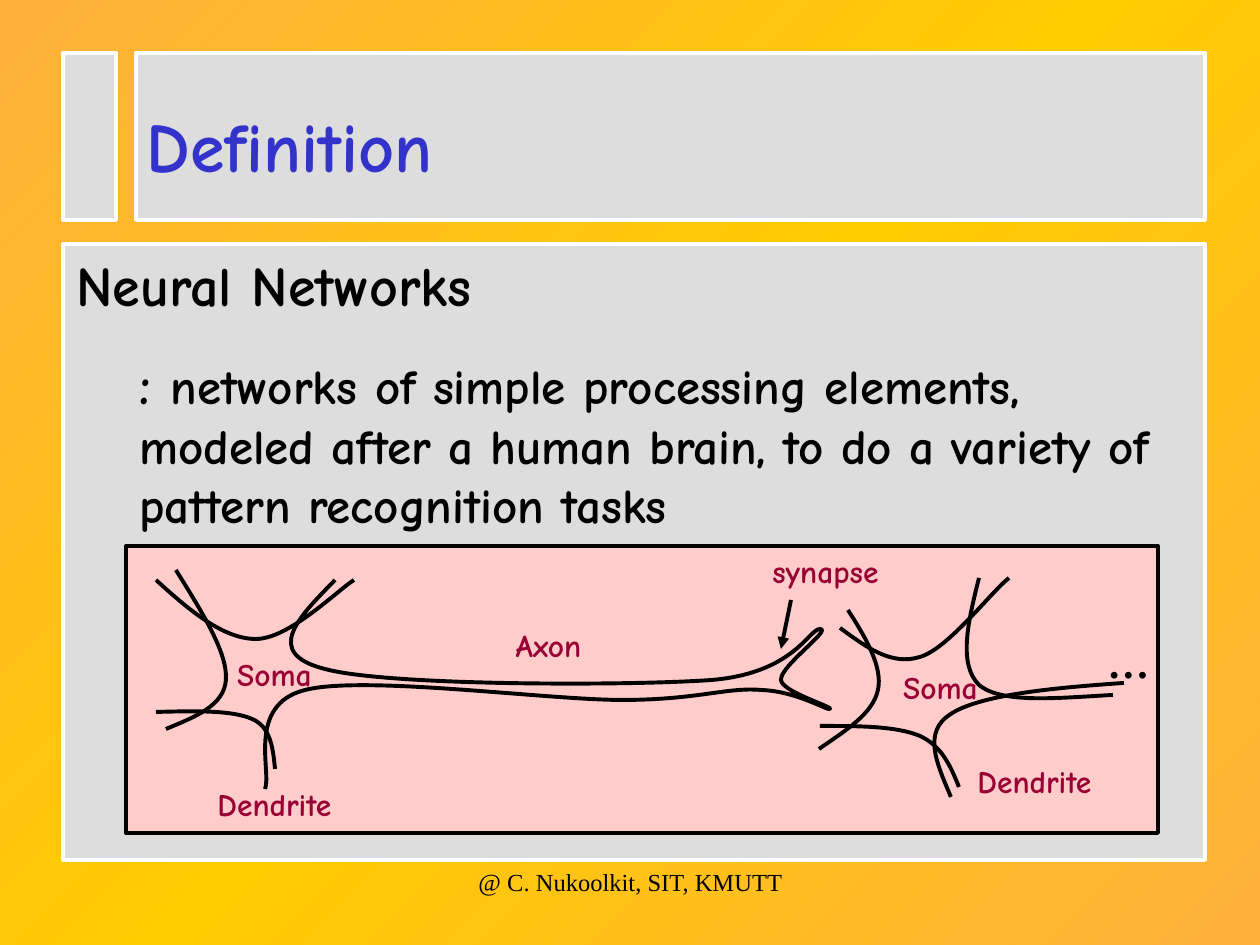
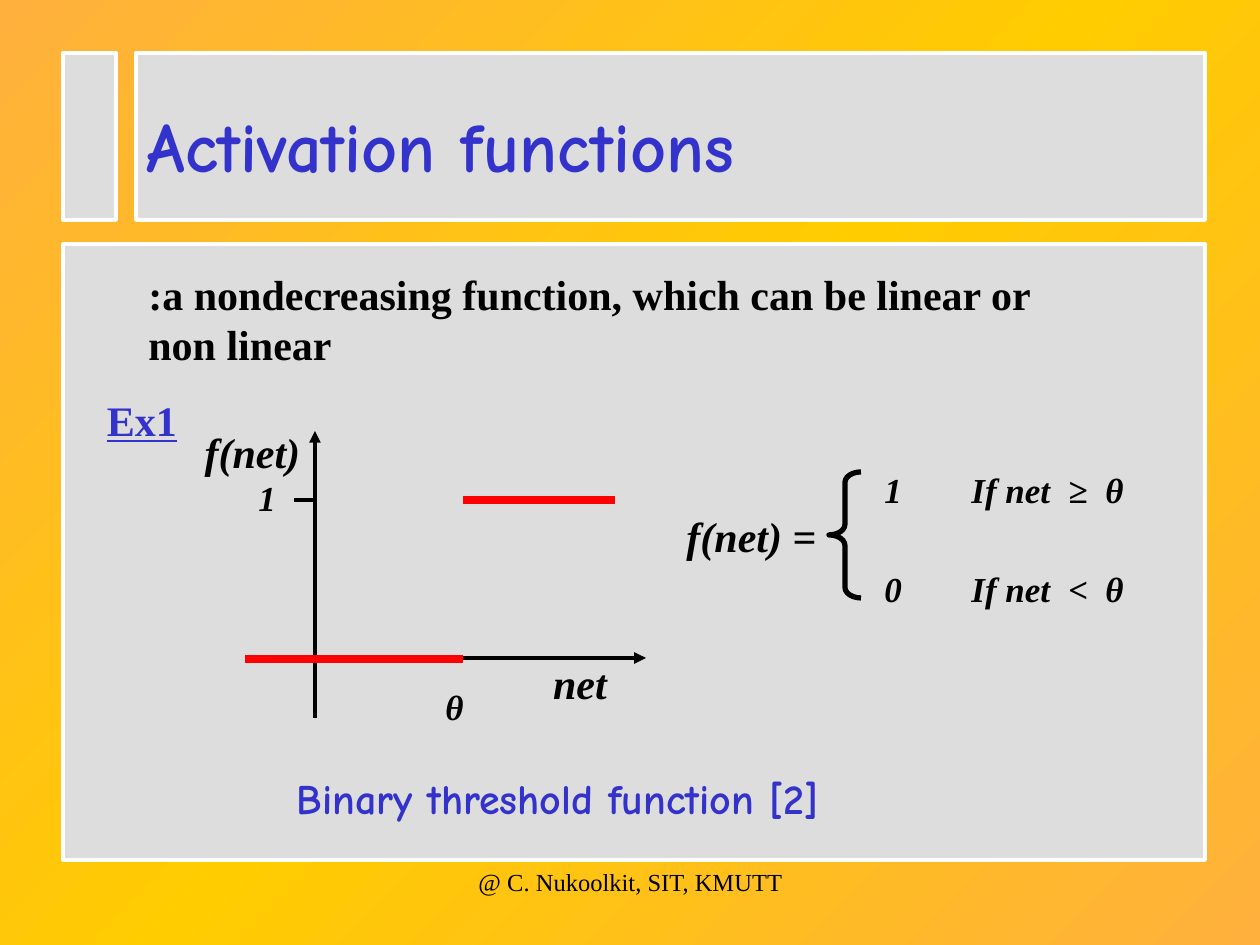
import copy
import itertools

import pptx
import pptx.dml.color
import pptx.enum.shapes
import pptx.enum.text
import pptx.oxml
import pptx.oxml.ns
import pptx.util

PX = 914400 // 126
COLORS = {
    "edge": "FFB03D", "middle": "FFCC00", "panel": "DDDDDD", "white": "FFFFFF",
    "black": "000000", "blue": "3333CC", "pink": "FFCCCC", "wine": "990033", "red": "FF0000",
}
HAND, SERIF = "Comic Neue", "Times New Roman"
TITLE = {"name": HAND, "size": 40, "bold": True, "color": "blue"}
HEADING = {"name": HAND, "size": 32, "bold": True, "color": "black"}
BODY = {**HEADING, "size": 28}
LABEL = {"name": HAND, "size": 18, "bold": True, "color": "wine"}
CAPTION = {**LABEL, "size": 24, "color": "blue"}
SERIF_BOLD = {"name": SERIF, "size": 24, "bold": True, "color": "black"}
MATH = {**SERIF_BOLD, "italic": True}
SMALL_MATH = {**MATH, "size": 20}
EXAMPLE = {**SERIF_BOLD, "underline": True, "color": "blue"}
FOOTER = {"name": SERIF, "size": 14, "color": "black"}
LEFT, CENTER = pptx.enum.text.PP_ALIGN.LEFT, pptx.enum.text.PP_ALIGN.CENTER
SHAPE = pptx.enum.shapes.MSO_SHAPE

TITLE_PANEL = (136, 53, 1069, 167)
SIDE_PANEL = (63, 53, 53, 167)
CONTENT_PANEL = (63, 244, 1142, 616)

FIRST_NEURON = [
    [(30, 34), (63, 64), (97, 93), (130, 93), (163, 93), (212, 44), (228, 34)],
    [(50, 24), (76, 66), (102, 107), (100, 134), (98, 160), (69, 171), (40, 183)],
    [(30, 166), (68, 165), (106, 164), (126, 173), (145, 181), (147, 203), (149, 223)],
]
AXON = [
    (209, 34), (173, 71), (136, 107), (199, 123), (261, 140), (503, 140), (586, 134),
    (668, 127), (683, 83), (694, 83), (707, 83), (654, 120), (655, 134),
    (656, 146), (708, 161), (704, 163), (702, 165), (670, 145), (635, 144),
    (601, 141), (572, 154), (496, 154), (421, 154), (238, 129), (179, 144),
    (120, 159), (146, 226), (139, 243),
]
SECOND_NEURON = [
    [(714, 82), (740, 101), (765, 120), (794, 111), (822, 103), (866, 45), (883, 32)],
    [(853, 32), (842, 76), (832, 118), (853, 139), (876, 158), (931, 152), (987, 149)],
    [(722, 64), (740, 92), (757, 121), (752, 144), (747, 168), (719, 185), (693, 203)],
    [(694, 180), (732, 180), (770, 180), (794, 190), (816, 200), (825, 221), (833, 241)],
    [(825, 251), (811, 218), (796, 186), (825, 168), (854, 149), (926, 142), (998, 137)],
]


def rgb(name):
    """Return the named colour."""
    return pptx.dml.color.RGBColor.from_string(COLORS[name])


def emu(lengths):
    """Turn px lengths into EMU."""
    return [round(length * PX) for length in lengths]


def inside(box, left, top, width, height):
    """Return a part's box, given relative to an outer box."""
    return box[0] + left, box[1] + top, width, height


def format_font(font, style):
    """Apply a dict of font values."""
    for key, value in style.items():
        if key == "color":
            font.color.rgb = rgb(value)
        else:
            setattr(font, key, pptx.util.Pt(value) if key == "size" else value)


def format_frame(frame):
    """Set the wrapping, anchor and insets of a text frame."""
    values = {
        "word_wrap": True, "auto_size": pptx.enum.text.MSO_AUTO_SIZE.NONE,
        "vertical_anchor": pptx.enum.text.MSO_ANCHOR.TOP,
        "margin_left": pptx.util.Inches(0.1), "margin_right": pptx.util.Inches(0.1),
        "margin_top": pptx.util.Inches(0.05), "margin_bottom": pptx.util.Inches(0.05),
    }
    for key, value in values.items():
        setattr(frame, key, value)


def add_span(para, text, style):
    """Add a formatted run to a paragraph."""
    span = para.add_run()
    span.text = text
    format_font(span.font, style)


def set_indent(para, margin):
    """Set a paragraph's left margin in px."""
    properties = para._p.get_or_add_pPr()
    properties.set("marL", str(margin * PX))
    properties.set("indent", "0")


def set_tabs(para, stops):
    """Set left tab stops in px."""
    tabs = pptx.oxml.parse_xml(f"<a:tabLst {pptx.oxml.ns.nsdecls('a')}/>")
    for stop in stops:
        tab = tabs.makeelement(pptx.oxml.ns.qn("a:tab"), {"pos": str(stop * PX), "algn": "l"})
        tabs.append(tab)
    para._p.get_or_add_pPr().append(tabs)


def add_text(page, box, text, style, align=CENTER, tabs=(), indent=0):
    """Add a one-paragraph text box and return its frame."""
    frame = page.shapes.add_textbox(*emu(box)).text_frame
    format_frame(frame)
    para = frame.paragraphs[0]
    para.alignment = align
    if indent:
        set_indent(para, indent)
    if tabs:
        set_tabs(para, tabs)
    add_span(para, text, style)
    return frame


def set_line(shape, color, width):
    """Colour a line and set its width in points."""
    shape.line.color.rgb = rgb(color)
    shape.line.width = pptx.util.Pt(width)


def add_panel(page, box, fill="panel", line="white"):
    """Add an outlined rectangle."""
    panel = page.shapes.add_shape(SHAPE.RECTANGLE, *emu(box))
    panel.shadow.inherit = False
    panel.fill.solid()
    panel.fill.fore_color.rgb = rgb(fill)
    set_line(panel, line, 2.25)


def add_line(page, box, start, end, color="black", width=2.25, arrow=False):
    """Add a straight line inside a box, with an optional arrowhead at its end."""
    ends = [box[0] + start[0], box[1] + start[1], box[0] + end[0], box[1] + end[1]]
    line = page.shapes.add_connector(pptx.enum.shapes.MSO_CONNECTOR.STRAIGHT, *emu(ends))
    set_line(line, color, width)
    if arrow:
        outline = line.line._get_or_add_ln()
        outline.append(outline.makeelement(pptx.oxml.ns.qn("a:tailEnd"), {"type": "triangle"}))
    properties = line._element.spPr
    properties.append(properties.makeelement(pptx.oxml.ns.qn("a:effectLst"), {}))


def add_curve(page, box, points):
    """Add an open outline of cubic curves through a start and triples of points."""
    places = [tuple(emu((box[0] + x, box[1] + y))) for x, y in points]
    builder = page.shapes.build_freeform(*places[0])
    builder.add_line_segments(places[1:], close=False)
    curve = builder.convert_to_shape()
    curve.shadow.inherit = False
    curve.fill.background()
    set_line(curve, "black", 2.25)
    segments = list(curve._element.iter(pptx.oxml.ns.qn("a:lnTo")))
    outline = segments[0].getparent()
    for first in range(0, len(segments), 3):
        bend = outline.makeelement(pptx.oxml.ns.qn("a:cubicBezTo"), {})
        for segment in segments[first:first + 3]:
            bend.append(segment[0])
            outline.remove(segment)
        outline.append(bend)


def set_background(deck):
    """Give the slide master its diagonal gradient."""
    master = deck.slide_master
    fill = master.background.fill
    fill.gradient()
    fill.gradient_angle = 135
    fill.gradient_stops[0].color.rgb = rgb("edge")
    fill.gradient_stops[1].color.rgb = rgb("middle")
    stops = next(master._element.iter(pptx.oxml.ns.qn("a:gsLst")))
    stops.append(copy.deepcopy(stops[0]))
    for stop, place in zip(stops, (0, 50000, 100000)):
        stop.set("pos", str(place))


def add_page(deck, title):
    """Add a slide with the shared panels, title and footer."""
    page = deck.slides.add_slide(deck.slide_layouts[5])
    for box in (TITLE_PANEL, SIDE_PANEL, CONTENT_PANEL):
        add_panel(page, box)
    heading = page.shapes.title
    page.shapes._spTree.append(heading._element)
    places = emu(inside(TITLE_PANEL, -2, 43, 1071, 97))
    for key, value in zip(("left", "top", "width", "height"), places):
        setattr(heading, key, value)
    format_frame(heading.text_frame)
    para = heading.text_frame.paragraphs[0]
    para.alignment = LEFT
    add_span(para, title, TITLE)
    add_text(page, (431, 861, 399, 63), "@ C. Nukoolkit, SIT, KMUTT", FOOTER)
    return page


def draw_neurons(page, box):
    """Draw two linked neurons with their labels."""
    add_panel(page, box, "pink", "black")
    for points in itertools.chain(FIRST_NEURON, [AXON], SECOND_NEURON):
        add_curve(page, box, points)
    labels = [
        ("Soma", 69, 103), ("Dendrite", 69, 233), ("Axon", 343, 74),
        ("synapse", 620, 0), ("Soma", 735, 116), ("Dendrite", 829, 210),
    ]
    for text, left, top in labels:
        add_text(page, inside(box, left, top, 159, 50), text, LABEL)
    add_line(page, box, (665, 54), (655, 103), arrow=True)
    add_text(page, inside(box, 966, 84, 73, 63), "…", SERIF_BOLD)


def draw_threshold_plot(page, box):
    """Draw the step function on its axes."""
    add_line(page, box, (70, 288), (70, 1), arrow=True)
    add_line(page, box, (0, 228), (401, 228), arrow=True)
    add_line(page, box, (49, 70), (70, 70))
    for start, end in (((0, 229), (218, 229)), ((218, 70), (370, 70))):
        add_line(page, box, start, end, "red", 4.5)
    add_text(page, inside(box, 280, 221, 110, 63), "net", MATH)
    add_text(page, inside(box, 188, 249, 49, 55), "θ", SMALL_MATH, LEFT)
    add_text(page, inside(box, 1, 40, 48, 55), "1", SMALL_MATH, LEFT)
    add_text(page, inside(box, -72, -10, 159, 63), "f(net)", MATH)


def draw_cases(page, box):
    """Write the two cases of the step function beside a brace."""
    add_text(page, inside(box, 0, 42, 159, 63), "f(net) =", MATH)
    brace = page.shapes.add_shape(SHAPE.LEFT_BRACE, *emu(inside(box, 157, 10, 32, 126)))
    brace.shadow.inherit = False
    brace.adjustments[0] = 0.33
    brace.fill.background()
    set_line(brace, "black", 3)
    for row, text in enumerate(("1\tIf net\t≥\tθ", "0\tIf net\t<\tθ")):
        add_text(page, inside(box, 200, 99 * row, 297, 55), text, SMALL_MATH, LEFT, (87, 184, 221))


def build_definition(deck):
    """Build the slide that defines neural networks."""
    page = add_page(deck, "Definition")
    box = inside(CONTENT_PANEL, 1, 0, 1141, 296)
    frame = add_text(page, box, "Neural Networks", HEADING, LEFT)
    para = frame.add_paragraph()
    set_indent(para, 63)
    para.space_before = pptx.util.Pt(17.5)
    add_span(para, ": ", HEADING)
    add_span(para, "networks of simple processing elements, modeled after a human brain, "
             "to do a variety of pattern recognition tasks", BODY)
    draw_neurons(page, inside(CONTENT_PANEL, 63, 302, 1032, 287))


def build_activation(deck):
    """Build the slide on activation functions."""
    page = add_page(deck, "Activation functions")
    panel = CONTENT_PANEL
    add_text(page, inside(panel, 73, 18, 914, 113),
             ":a nondecreasing function, which can be linear or non linear", SERIF_BOLD, LEFT)
    add_text(page, inside(panel, 21, 144, 116, 63), "Ex1", EXAMPLE)
    draw_threshold_plot(page, inside(panel, 182, 186, 402, 288))
    draw_cases(page, inside(panel, 609, 218, 497, 154))
    add_text(page, inside(panel, 95, 522, 998, 63),
             "Binary threshold function [2]", CAPTION, LEFT, indent=126)


def main():
    """Build and save the deck."""
    deck = pptx.Presentation()
    deck.slide_width, deck.slide_height = pptx.util.Inches(10), pptx.util.Inches(7.5)
    set_background(deck)
    build_definition(deck)
    build_activation(deck)
    deck.save("out.pptx")


if __name__ == "__main__":
    main()
